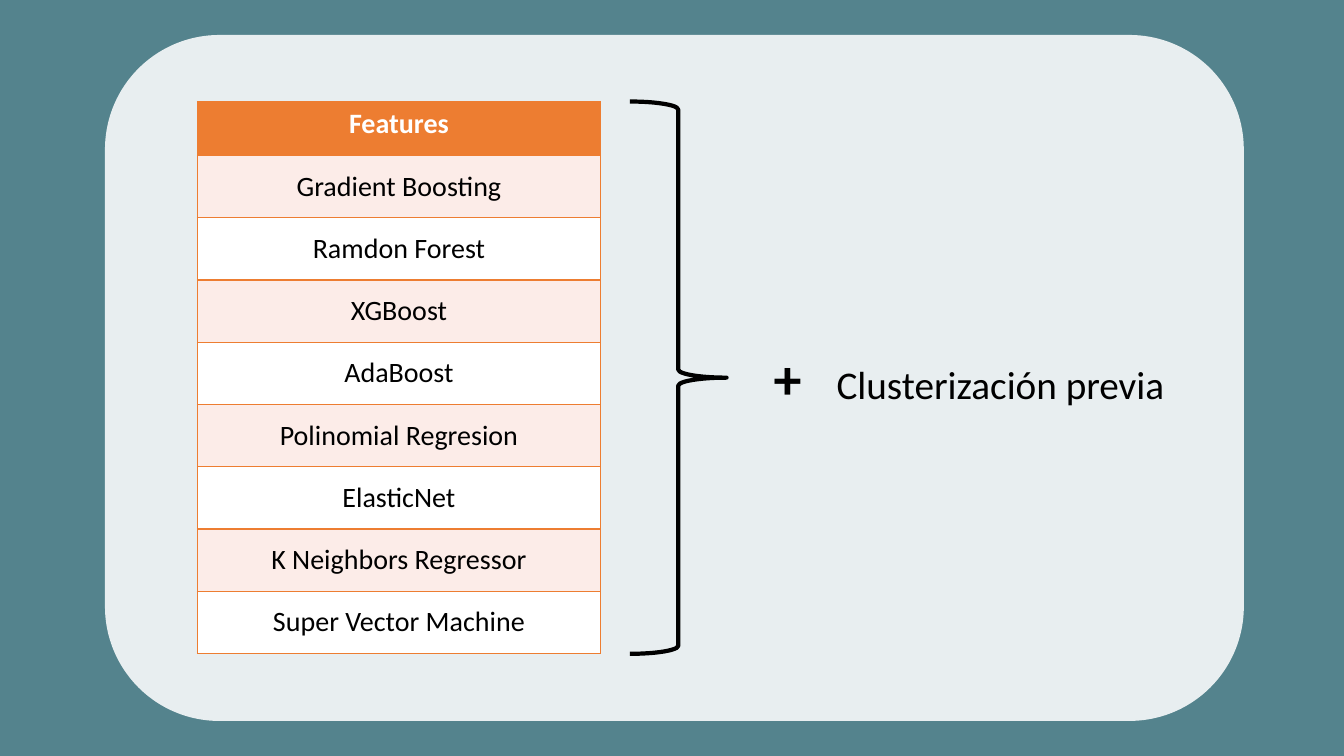
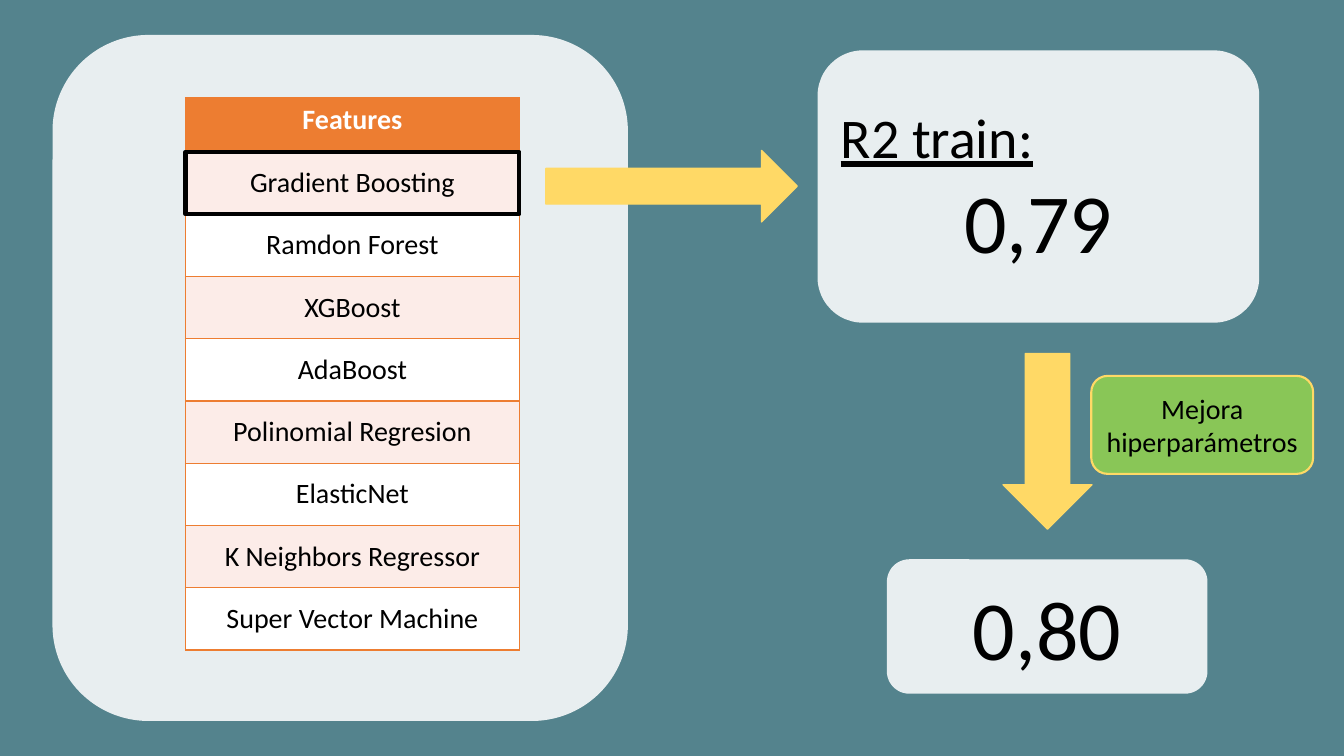
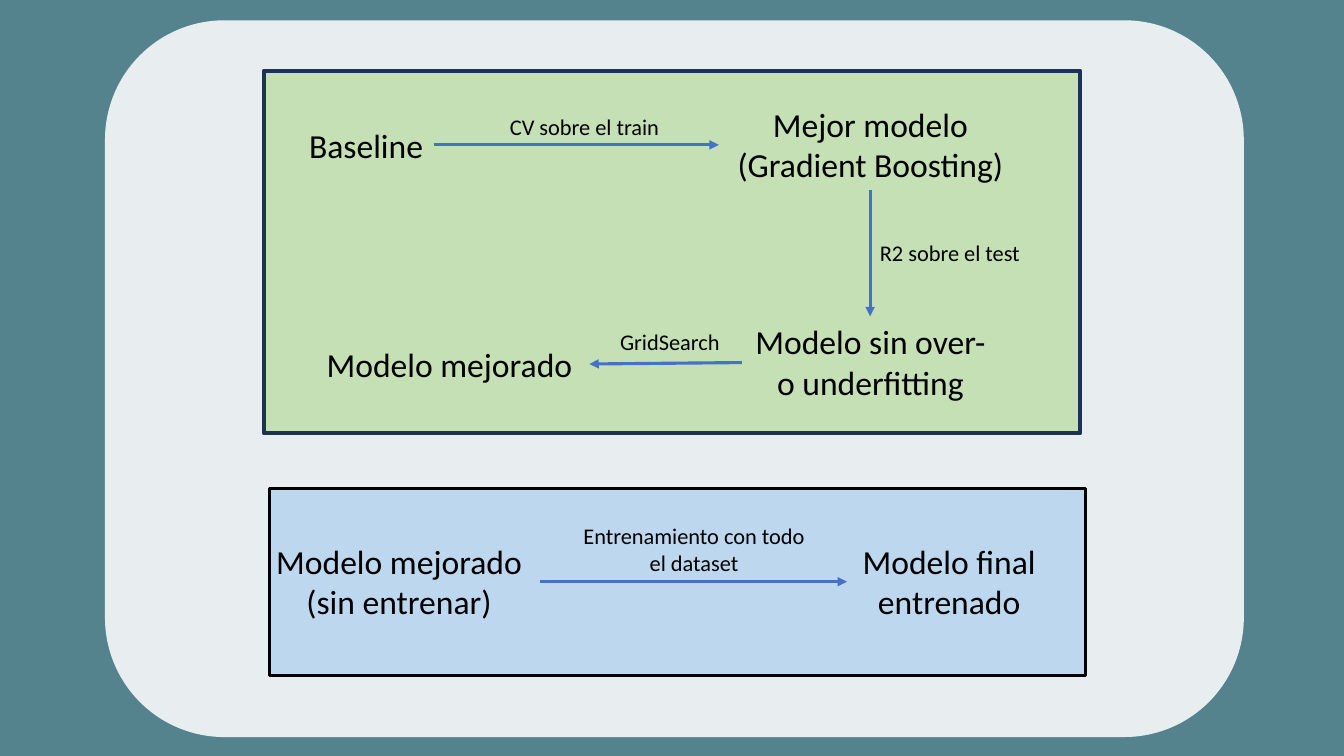
from dataclasses import dataclass

from lxml import etree
from pptx import Presentation
from pptx.dml.color import RGBColor
from pptx.enum.shapes import MSO_CONNECTOR, MSO_SHAPE
from pptx.enum.text import MSO_ANCHOR, PP_ALIGN
from pptx.oxml.ns import qn
from pptx.util import Pt

RECTANGLE = MSO_SHAPE.RECTANGLE
ROUNDED = MSO_SHAPE.ROUNDED_RECTANGLE
RIGHT_ARROW = MSO_SHAPE.RIGHT_ARROW
DOWN_ARROW = MSO_SHAPE.DOWN_ARROW
RIGHT_BRACE = MSO_SHAPE.RIGHT_BRACE
STRAIGHT = MSO_CONNECTOR.STRAIGHT
MIDDLE = MSO_ANCHOR.MIDDLE
TOP = MSO_ANCHOR.TOP
LEFT = PP_ALIGN.LEFT
CENTER = PP_ALIGN.CENTER


@dataclass(frozen=True)
class Theme:
    font: str = "Calibri"
    background: str = "54838D"
    white: str = "FFFFFF"
    black: str = "000000"
    orange: str = "ED7D31"
    band: str = "FCECE8"
    yellow: str = "FFD966"
    badge: str = "92D050"
    green: str = "C5E0B4"
    navy: str = "1E3256"
    blue: str = "BDD7EE"
    connector: str = "4472C4"
    opacity: int = 87
    label: int = 16
    body: int = 20
    step: int = 24
    note: int = 28
    heading: int = 40
    figure: int = 60


THEME = Theme()
HEADER_HEIGHT = 38.5
ROW_HEIGHT = 44.5
MODELS = [
    "Gradient Boosting", "Ramdon Forest", "XGBoost", "AdaBoost",
    "Polinomial Regresion", "ElasticNet", "K Neighbors Regressor",
    "Super Vector Machine",
]


def rgb(color):
    return RGBColor.from_string(color)


def points(*values):
    return [Pt(value) for value in values]


def inside(box, left, top, width, height):
    return box[0] + left, box[1] + top, width, height


def add_slide(presentation):
    slide = presentation.slides.add_slide(presentation.slide_layouts[6])
    slide.background.fill.solid()
    slide.background.fill.fore_color.rgb = rgb(THEME.background)
    return slide


def style_run(run, size, color=THEME.black, bold=False, underline=False):
    run.font.name = THEME.font
    run.font.size = Pt(size)
    run.font.color.rgb = rgb(color)
    run.font.bold = bold
    run.font.underline = underline


def write(text_frame, text, size, anchor=TOP):
    text_frame.word_wrap = True
    text_frame.vertical_anchor = anchor
    text_frame.text = text
    for paragraph in text_frame.paragraphs:
        paragraph.alignment = CENTER
        for run in paragraph.runs:
            style_run(run, size)


def add_box(shapes, kind, box, fill=None, line=None, line_width=1, opacity=100):
    shape = shapes.add_shape(kind, *points(*box))
    shape.shadow.inherit = False
    if fill:
        shape.fill.solid()
        shape.fill.fore_color.rgb = rgb(fill)
        if opacity < 100:
            color = shape._element.spPr.find(qn("a:solidFill"))[0]
            etree.SubElement(color, qn("a:alpha")).set("val", str(opacity * 1000))
    else:
        shape.fill.background()
    if line:
        shape.line.color.rgb = rgb(line)
        shape.line.width = Pt(line_width)
    else:
        shape.line.fill.background()
    return shape


def add_panel(slide, box, fill=THEME.white, line=None, line_width=1):
    return add_box(slide.shapes, ROUNDED, box, fill, line, line_width, THEME.opacity)


def add_text(shapes, box, text, size):
    text_box = shapes.add_textbox(*points(*box))
    write(text_box.text_frame, text, size)


def add_arrow(shapes, start, end):
    connector = shapes.add_connector(STRAIGHT, *points(*start, *end))
    connector.line.color.rgb = rgb(THEME.connector)
    connector.line.width = Pt(2.25)
    properties = connector._element.spPr
    line = properties.find(qn("a:ln"))
    etree.SubElement(line, qn("a:tailEnd")).set("type", "triangle")
    etree.SubElement(properties, qn("a:effectLst"))


def add_borders(cell):
    properties = cell._tc.get_or_add_tcPr()
    for position, side in enumerate(("lnL", "lnR", "lnT", "lnB")):
        line = etree.Element(qn(f"a:{side}"), w=str(Pt(1)))
        fill = etree.SubElement(line, qn("a:solidFill"))
        etree.SubElement(fill, qn("a:srgbClr")).set("val", THEME.orange)
        properties.insert(position, line)


def add_model_table(slide, left, top, width):
    height = HEADER_HEIGHT + ROW_HEIGHT * len(MODELS)
    box = (left, top, width, height)
    frame = slide.shapes.add_table(len(MODELS) + 1, 1, *points(*box))
    table = frame.table
    for index, text in enumerate(["Features"] + MODELS):
        table.rows[index].height = Pt(ROW_HEIGHT if index else HEADER_HEIGHT)
        cell = table.cell(index, 0)
        write(cell.text_frame, text, THEME.body)
        cell.fill.solid()
        if index == 0:
            fill = THEME.orange
            style_run(cell.text_frame.paragraphs[0].runs[0], THEME.body,
                      THEME.white, bold=True)
        else:
            fill = THEME.band if index % 2 else THEME.white
            cell.vertical_anchor = MIDDLE
            cell.margin_left = cell.margin_right = Pt(6)
            cell.margin_top = cell.margin_bottom = Pt(6)
        cell.fill.fore_color.rgb = rgb(fill)
        add_borders(cell)
    return box


def add_plus_note(slide, box):
    text_box = slide.shapes.add_textbox(*points(*box))
    text_frame = text_box.text_frame
    text_frame.word_wrap = True
    paragraph = text_frame.paragraphs[0]
    paragraph.text = "+"
    style_run(paragraph.runs[0], THEME.heading, bold=True)
    note = paragraph.add_run()
    note.text = "\tClusterización previa"
    style_run(note, THEME.note)
    tabs = etree.SubElement(paragraph._p.get_or_add_pPr(), qn("a:tabLst"))
    etree.SubElement(tabs, qn("a:tab"), pos=str(Pt(45)), algn="l")


def add_score(slide, box, text):
    panel = add_panel(slide, box)
    write(panel.text_frame, text, THEME.figure, MIDDLE)
    return panel


def add_flow(slide, box, fill, line, line_width, steps, labels, arrows):
    shapes = slide.shapes.add_group_shape().shapes
    add_box(shapes, RECTANGLE, box, fill, line, line_width)
    for size, items in ((THEME.step, steps), (THEME.label, labels)):
        for text, place in items:
            add_text(shapes, inside(box, *place), text, size)
    for x1, y1, x2, y2 in arrows:
        add_arrow(shapes, (box[0] + x1, box[1] + y1), (box[0] + x2, box[1] + y2))


def build_models_slide(presentation):
    slide = add_slide(presentation)
    panel = (75, 25, 813.5, 490)
    add_panel(slide, panel)
    left, top, width, height = add_model_table(slide, panel[0] + 66, panel[1] + 47.5, 288)
    brace = (left + width + 21, top, 69, height)
    add_box(slide.shapes, RIGHT_BRACE, brace, line=THEME.black, line_width=3)
    add_plus_note(slide, inside(panel, 470.5, 217, 312, 55.5))


def build_score_slide(presentation):
    slide = add_slide(presentation)
    panel = (37.5, 25, 411, 490)
    add_panel(slide, panel)
    left, top, width, _ = add_model_table(slide, panel[0] + 95, panel[1] + 45, 238.5)
    best_row = (left, top + HEADER_HEIGHT, width, ROW_HEIGHT)

    train = add_score(slide, (584, 36, 315.5, 194.5), "R2 train:\n0,79")
    heading = train.text_frame.paragraphs[0]
    heading.alignment = LEFT
    style_run(heading.runs[0], THEME.heading, underline=True)
    add_score(slide, (633.5, 399.5, 229, 96), "0,80")

    for kind, box in ((RIGHT_ARROW, (390, 107.5, 179.5, 51)),
                      (DOWN_ARROW, (716.5, 252.5, 63.5, 125.5))):
        add_box(slide.shapes, kind, box, THEME.yellow, THEME.yellow)

    badge = add_panel(slide, (779.5, 268.5, 158.5, 70), THEME.badge, THEME.yellow, 1.5)
    write(badge.text_frame, "Mejora hiperparámetros", THEME.body, MIDDLE)
    add_box(slide.shapes, RECTANGLE, best_row, line=THEME.black, line_width=3)


def build_process_slide(presentation):
    slide = add_slide(presentation)
    add_panel(slide, (75, 14.5, 813.5, 512))
    add_flow(
        slide, (188.5, 50.5, 583, 259), THEME.green, THEME.navy, 3,
        steps=[
            ("Baseline", (24.5, 35.5, 97, 36)),
            ("Mejor modelo (Gradient Boosting)", (325, 20, 216.5, 65.5)),
            ("Modelo sin over- o underfitting", (341.5, 175.5, 183.5, 65.5)),
            ("Modelo mejorado", (32, 191.5, 201, 36)),
        ],
        labels=[
            ("CV sobre el train", (158, 26.5, 142, 26.5)),
            ("R2 sobre el test", (419, 116.5, 142, 26.5)),
            ("GridSearch", (246.5, 180, 87, 26.5)),
        ],
        arrows=[
            (121.5, 53, 325, 53),
            (433, 85.5, 433, 175.5),
            (341.5, 208.5, 232.5, 209.5),
        ],
    )
    add_flow(
        slide, (192.5, 349, 583, 133.5), THEME.blue, THEME.black, 2.25,
        steps=[
            ("Modelo mejorado\n(sin entrenar)", (-8, 33.5, 201, 65.5)),
            ("Modelo final entrenado", (412.5, 33.5, 146, 65.5)),
        ],
        labels=[("Entrenamiento con todo el dataset", (211.5, 20.5, 183.5, 46))],
        arrows=[(193, 66.5, 412.5, 66.5)],
    )


def main():
    presentation = Presentation()
    presentation.slide_width, presentation.slide_height = points(960, 540)
    build_models_slide(presentation)
    build_score_slide(presentation)
    build_process_slide(presentation)
    presentation.save("out.pptx")


if __name__ == "__main__":
    main()
